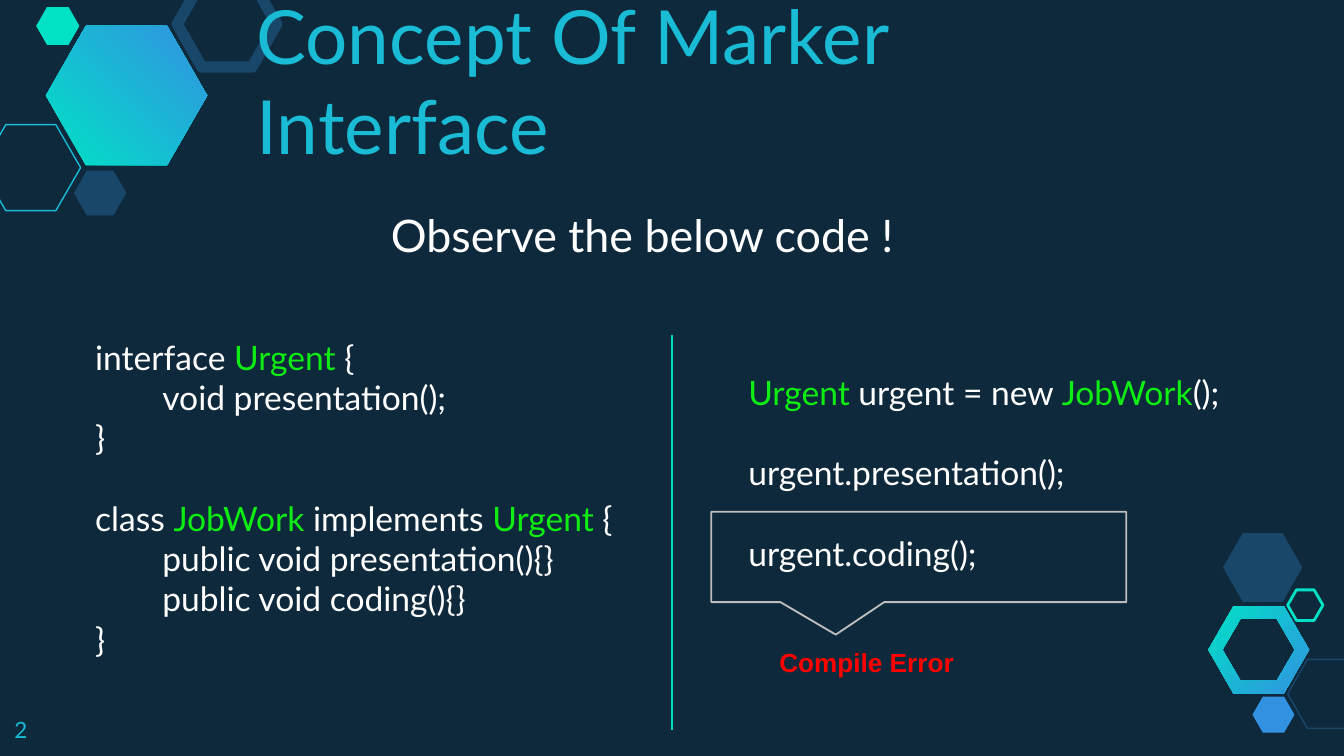
from dataclasses import dataclass

from lxml import etree
from pptx import Presentation
from pptx import util as u
from pptx.dml import color
from pptx.enum import shapes, text
from pptx.oxml import ns


@dataclass(frozen=True)
class Theme:
    background: str = "0E293C"
    accent: str = "19BBD5"
    navy: str = "184769"
    mint: str = "00E1C6"
    blue: str = "3292E1"
    divider: str = "00DCC2"
    callout: str = "BDBDBD"
    body: str = "FFFFFF"
    type_name: str = "0FEE13"
    error: str = "FF0000"
    font: str = "Lato"
    error_font: str = "Arial"
    title_size: int = 40
    lead_size: int = 24
    code_size: int = 18
    error_size: int = 14
    number_size: int = 12
    inset: float = 7.2
    line_height: float = 1.2


THEME = Theme()


def rgb(value):
    return color.RGBColor.from_string(value)


def set_attributes(target, values):
    for name, value in values.items():
        setattr(target, name, value)


def place(shape, box):
    names = ("left", "top", "width", "height")
    set_attributes(shape, {name: u.Pt(value) for name, value in zip(names, box)})


def style_shape(shape, fill=None, line=None, width=0.75, gradient_angle=None):
    shape.shadow.inherit = False
    if gradient_angle is not None:
        shape.fill.gradient()
        for stop, value in zip(shape.fill.gradient_stops, (THEME.mint, THEME.blue)):
            stop.color.rgb = rgb(value)
        shape.fill.gradient_angle = gradient_angle
    elif fill:
        shape.fill.solid()
        shape.fill.fore_color.rgb = rgb(fill)
    else:
        shape.fill.background()
    if line:
        shape.line.color.rgb = rgb(line)
        shape.line.width = u.Pt(width)
    else:
        shape.line.fill.background()


def add_preset(slide, kind, box, adjustments, **style):
    shape = slide.shapes.add_shape(kind, *(u.Pt(value) for value in box))
    for index, value in enumerate(adjustments):
        shape.adjustments[index] = value
    style_shape(shape, **style)


def add_hexagon(slide, box, **style):
    add_preset(slide, shapes.MSO_SHAPE.HEXAGON, box, (0.287,), **style)


def hexagon_points(center, half_width, half_height):
    x, y = center
    steps = ((-1, 0), (-0.5, -1), (0.5, -1), (1, 0), (0.5, 1), (-0.5, 1))
    return [(u.Pt(x + dx * half_width), u.Pt(y + dy * half_height)) for dx, dy in steps]


def add_hexagon_ring(slide, center, outer, inner, gradient_angle):
    outline = hexagon_points(center, *outer)
    hole = hexagon_points(center, *inner)[::-1]
    builder = slide.shapes.build_freeform(*outline[0])
    builder.add_line_segments(outline[1:], close=True)
    builder.move_to(*hole[0])
    builder.add_line_segments(hole[1:], close=True)
    style_shape(builder.convert_to_shape(), gradient_angle=gradient_angle)


def add_divider(slide, x, top, bottom):
    points = (u.Pt(value) for value in (x, top, x, bottom))
    divider = slide.shapes.add_connector(shapes.MSO_CONNECTOR.STRAIGHT, *points)
    divider.line.color.rgb = rgb(THEME.divider)
    divider.line.width = u.Pt(0.75)
    properties = divider.element.find(ns.qn("p:spPr"))
    etree.SubElement(properties, ns.qn("a:effectLst"))


def write_text(shape, paragraphs, size, anchor, font=THEME.font, bold=False,
               wrap=True, insets=(THEME.inset,) * 4):
    frame = shape.text_frame
    set_attributes(frame, {
        "auto_size": text.MSO_AUTO_SIZE.NONE,
        "word_wrap": wrap,
        "vertical_anchor": anchor,
    })
    sides = ("margin_left", "margin_top", "margin_right", "margin_bottom")
    set_attributes(frame, {side: u.Pt(value) for side, value in zip(sides, insets)})
    for index, (lines_before, runs) in enumerate(paragraphs):
        paragraph = frame.add_paragraph() if index else frame.paragraphs[0]
        set_attributes(paragraph, {
            "alignment": text.PP_ALIGN.LEFT,
            "space_before": u.Pt(lines_before * size * THEME.line_height),
        })
        for words, run_color in runs:
            run = paragraph.add_run()
            run.text = words
            set_attributes(run.font, {"name": font, "size": u.Pt(size), "bold": bold})
            run.font.color.rgb = rgb(run_color)


def add_text(slide, box, paragraphs, size, anchor=text.MSO_ANCHOR.TOP, **options):
    shape = slide.shapes.add_textbox(*(u.Pt(value) for value in box))
    write_text(shape, paragraphs, size, anchor, **options)


def add_raised_text(slide, box, paragraphs, size):
    inset = THEME.inset
    insets = (inset, inset, inset, inset + size * THEME.line_height)
    add_text(slide, box, paragraphs, size, text.MSO_ANCHOR.MIDDLE, insets=insets)


def add_decoration(slide):
    add_hexagon_ring(slide, (674.3, 348.1), (27, 23.4), (19.4, 16.6), 315)
    add_hexagon(slide, (24.6, 13.9, 86.4, 74.6), gradient_angle=45)
    add_hexagon(slide, (-10.1, 66.8, 53.3, 46.1), line=THEME.accent)
    add_hexagon(slide, (39.6, 91.4, 28.1, 24.1), fill=THEME.navy)
    add_hexagon(slide, (95, -10.1, 53.3, 46.1), line=THEME.navy, width=6)
    add_hexagon(slide, (19.4, 3.8, 23.2, 20.2), fill=THEME.mint)
    add_hexagon(slide, (689.8, 353.3, 42.5, 36.9), line=THEME.navy)
    add_hexagon(slide, (671, 373.2, 22.5, 19.4), fill=THEME.blue)
    add_hexagon(slide, (655.2, 285.6, 42.5, 36.9), fill=THEME.navy)
    add_hexagon(slide, (689.8, 316, 18.9, 16.4), line=THEME.mint, width=1.5)


def add_title(slide, words):
    title = slide.shapes.title
    place(title, (130.3, 54.7, 499, 43.2))
    write_text(title, [(0, [(words, THEME.accent)])], THEME.title_size,
               text.MSO_ANCHOR.BOTTOM)
    title.element.getparent().append(title.element)


def main():
    presentation = Presentation()
    set_attributes(presentation, {"slide_width": u.Pt(720), "slide_height": u.Pt(405)})
    slide = presentation.slides.add_slide(presentation.slide_layouts[5])
    slide.background.fill.solid()
    slide.background.fill.fore_color.rgb = rgb(THEME.background)

    body, type_name = THEME.body, THEME.type_name
    declarations = [
        (0, [("interface ", body), ("Urgent", type_name), (" {", body)]),
        (0, [("\tvoid presentation();", body)]),
        (0, [("}", body)]),
        (1, [("class ", body), ("JobWork", type_name), (" implements ", body),
             ("Urgent", type_name), (" {", body)]),
        (0, [("\tpublic void presentation(){}", body)]),
        (0, [("\tpublic void coding(){}", body)]),
        (0, [("}", body)]),
    ]
    calls = [
        (0, [("Urgent ", type_name), ("urgent = new ", body),
             ("JobWork", type_name), ("();", body)]),
        (1, [("urgent.presentation();", body)]),
        (1, [("urgent.coding();", body)]),
    ]

    add_decoration(slide)
    add_title(slide, "Concept Of Marker Interface")
    add_text(slide, (0.7, 376.6, 43.2, 28.1), [(0, [("2", THEME.accent)])],
             THEME.number_size)
    add_raised_text(slide, (202.3, 97.9, 517.7, 84.2),
                    [(0, [("Observe the below code !", body)])], THEME.lead_size)
    add_raised_text(slide, (43.9, 235.4, 517.7, 84.2), declarations, THEME.code_size)
    add_raised_text(slide, (393.8, 221.8, 313.2, 84.2), calls, THEME.code_size)
    add_divider(slide, 360, 179.5, 391)
    add_text(slide, (410.4, 342.7, 108.7, 24.5), [(0, [("Compile Error", THEME.error)])],
             THEME.error_size, font=THEME.error_font, bold=True, wrap=False,
             insets=(7.2, 3.6, 7.2, 3.6))
    add_preset(slide, shapes.MSO_SHAPE.RECTANGULAR_CALLOUT, (381.1, 274.2, 222.3, 48.4),
               (-0.2, 0.86), line=THEME.callout, width=1)
    presentation.save("out.pptx")


if __name__ == "__main__":
    main()
